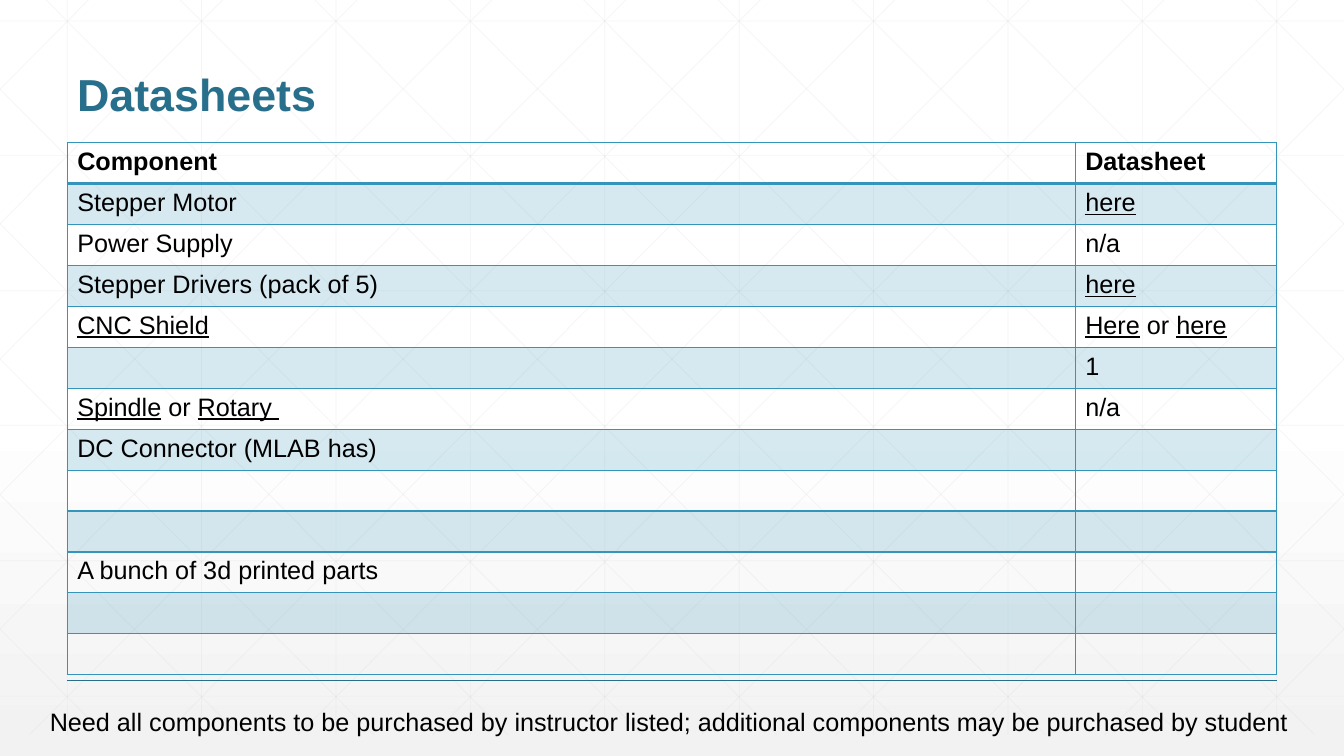
from copy import deepcopy
from dataclasses import dataclass

from lxml.etree import SubElement
from pptx import Presentation
from pptx.dml.color import RGBColor
from pptx.enum.text import MSO_ANCHOR as Anchor
from pptx.enum.shapes import MSO_CONNECTOR as Connector
from pptx.oxml import parse_xml
from pptx.oxml.ns import nsdecls, qn
from pptx.slide import Slide
from pptx.table import _Cell as Cell
from pptx.text.text import TextFrame, _Paragraph as Paragraph
from pptx.util import Emu, Pt

EMU_PER_PX = 9525
SLIDE_W, SLIDE_H = 1280, 720
FONT = "Arial"
COLORS = {
    "white": "FFFFFF",
    "haze": "F2F2F2",
    "lattice": "D9D9D9",
    "heading": "276F8B",
    "accent": "3494BA",
    "text": "000000",
}


@dataclass(frozen=True)
class Run:
    text: str
    underline: bool = False
    bold: bool = False
    size: int = 18
    color: str = "text"


@dataclass(frozen=True)
class Line:
    x1: int
    y1: int
    x2: int
    y2: int


@dataclass(frozen=True)
class Row:
    component: tuple[Run, ...] = ()
    datasheet: tuple[Run, ...] = ()


HERE = Run("here", underline=True)
OR = Run(" or ")
NOT_AVAILABLE = Run("n/a")
ROWS = (
    Row((Run("Component", bold=True),), (Run("Datasheet", bold=True),)),
    Row((Run("Stepper Motor"),), (HERE,)),
    Row((Run("Power Supply"),), (NOT_AVAILABLE,)),
    Row((Run("Stepper Drivers (pack of 5)"),), (HERE,)),
    Row((Run("CNC Shield", underline=True),), (Run("Here", underline=True), OR, HERE)),
    Row((), (Run("1"),)),
    Row((Run("Spindle", underline=True), OR, Run("Rotary ", underline=True)), (NOT_AVAILABLE,)),
    Row((Run("DC Connector (MLAB has)"),)),
    Row(),
    Row(),
    Row((Run("A bunch of 3d printed parts"),)),
    Row(),
    Row(),
)


def px(length: int) -> Emu:
    return Emu(length * EMU_PER_PX)


def rgb(name: str) -> RGBColor:
    return RGBColor.from_string(COLORS[name])


def add_alpha(element, percent: int) -> None:
    for color in element.iter(qn("a:srgbClr")):
        SubElement(color, qn("a:alpha"), val=str(percent * 1000))


def write(paragraph: Paragraph, runs: tuple[Run, ...]) -> None:
    for item in runs:
        run = paragraph.add_run()
        run.text = item.text
        run.font.name = FONT
        run.font.size = Pt(item.size)
        run.font.bold = item.bold
        run.font.underline = item.underline
        run.font.color.rgb = rgb(item.color)


def add_text(slide: Slide, x: int, y: int, w: int, h: int, run: Run) -> TextFrame:
    frame = slide.shapes.add_textbox(px(x), px(y), px(w), px(h)).text_frame
    write(frame.paragraphs[0], (run,))
    return frame


def add_line(slide: Slide, line: Line, color: str, width: float, alpha: int = 100) -> None:
    ends = (px(end) for end in (line.x1, line.y1, line.x2, line.y2))
    connector = slide.shapes.add_connector(Connector.STRAIGHT, *ends)
    connector.line.color.rgb = rgb(color)
    connector.line.width = Pt(width)
    properties = connector.element.spPr
    if alpha < 100:
        add_alpha(properties, alpha)
    SubElement(properties, qn("a:effectLst"))


def paint_background(slide: Slide) -> None:
    fill = slide.background.fill
    fill.gradient()
    fill.gradient_angle = 270
    stop_list = slide.element.xpath(".//p:bg//a:gsLst")[0]
    stop_list.append(deepcopy(stop_list[-1]))
    stops = zip(fill.gradient_stops, ("white", "white", "haze"), (0, 0.53, 1))
    for stop, color, position in stops:
        stop.color.rgb = rgb(color)
        stop.position = position
    add_alpha(stop_list[-1], 65)


def lattice_lines() -> list[Line]:
    top, bottom, step = -20, 700, 128
    lines = [Line(64 + step * i, top, 64 + step * i, bottom) for i in range(10)]
    levels = [20 + i * 643 // 5 for i in range(6)]
    lines += [Line(0, y, SLIDE_W, y) for y in levels]
    # Diagonals run at almost 45 degrees, clipped to the slide's sides
    run, rise = 716, bottom - top
    for i in range(-5, 10):
        start = 24 + step * i
        x1, x2 = max(start, 0), min(start + run, SLIDE_W)
        y1, y2 = (top + round((x - start) * rise / run) for x in (x1, x2))
        lines += [Line(x1, y1, x2, y2), Line(SLIDE_W - x1, y1, SLIDE_W - x2, y2)]
    return lines


def style_cell(cell: Cell, row: int) -> None:
    banded = row % 2 == 1
    if banded:
        cell.fill.solid()
        cell.fill.fore_color.rgb = rgb("accent")
    else:
        cell.fill.background()
    properties = cell._tc.get_or_add_tcPr()
    if banded:
        add_alpha(properties, 20)
    widths = {"L": 1, "R": 1, "T": 2 if row == 1 else 1, "B": 2 if row == 0 else 1}
    for index, (side, width) in enumerate(widths.items()):
        border = parse_xml(
            f'<a:ln{side} {nsdecls("a")} w="{Pt(width)}"><a:solidFill>'
            f'<a:srgbClr val="{COLORS["accent"]}"/></a:solidFill></a:ln{side}>'
        )
        properties.insert(index, border)


def add_parts_table(slide: Slide) -> None:
    row_height, widths = 39, (960, 192)
    table = slide.shapes.add_table(
        len(ROWS), len(widths), px(64), px(136), px(sum(widths)), px(row_height * len(ROWS))
    ).table
    table.first_row = table.horz_banding = False
    for column, width in zip(table.columns, widths):
        column.width = px(width)
    for index, row in enumerate(ROWS):
        table.rows[index].height = px(row_height)
        for cell, runs in zip(table.rows[index].cells, (row.component, row.datasheet)):
            write(cell.text_frame.paragraphs[0], runs)
            style_cell(cell, index)


def main() -> None:
    deck = Presentation()
    deck.slide_width, deck.slide_height = px(SLIDE_W), px(SLIDE_H)
    slide = deck.slides.add_slide(deck.slide_layouts[6])

    # Backdrop
    paint_background(slide)
    for line in lattice_lines():
        add_line(slide, line, "lattice", 0.5, alpha=25)
    add_line(slide, Line(64, 648, 1216, 648), "heading", 1)

    # Heading
    heading = add_text(slide, 64, 24, 1152, 96, Run("Datasheets", bold=True, size=32, color="heading"))
    heading.word_wrap = True
    heading.vertical_anchor = Anchor.BOTTOM
    heading.paragraphs[0].line_spacing = 0.9

    # Components and their datasheets
    add_parts_table(slide)

    # Purchasing note
    note = Run(
        "Need all components to be purchased by instructor listed; "
        "additional components may be purchased by student"
    )
    add_text(slide, 38, 668, 1210, 38, note).word_wrap = False

    deck.save("out.pptx")


if __name__ == "__main__":
    main()
